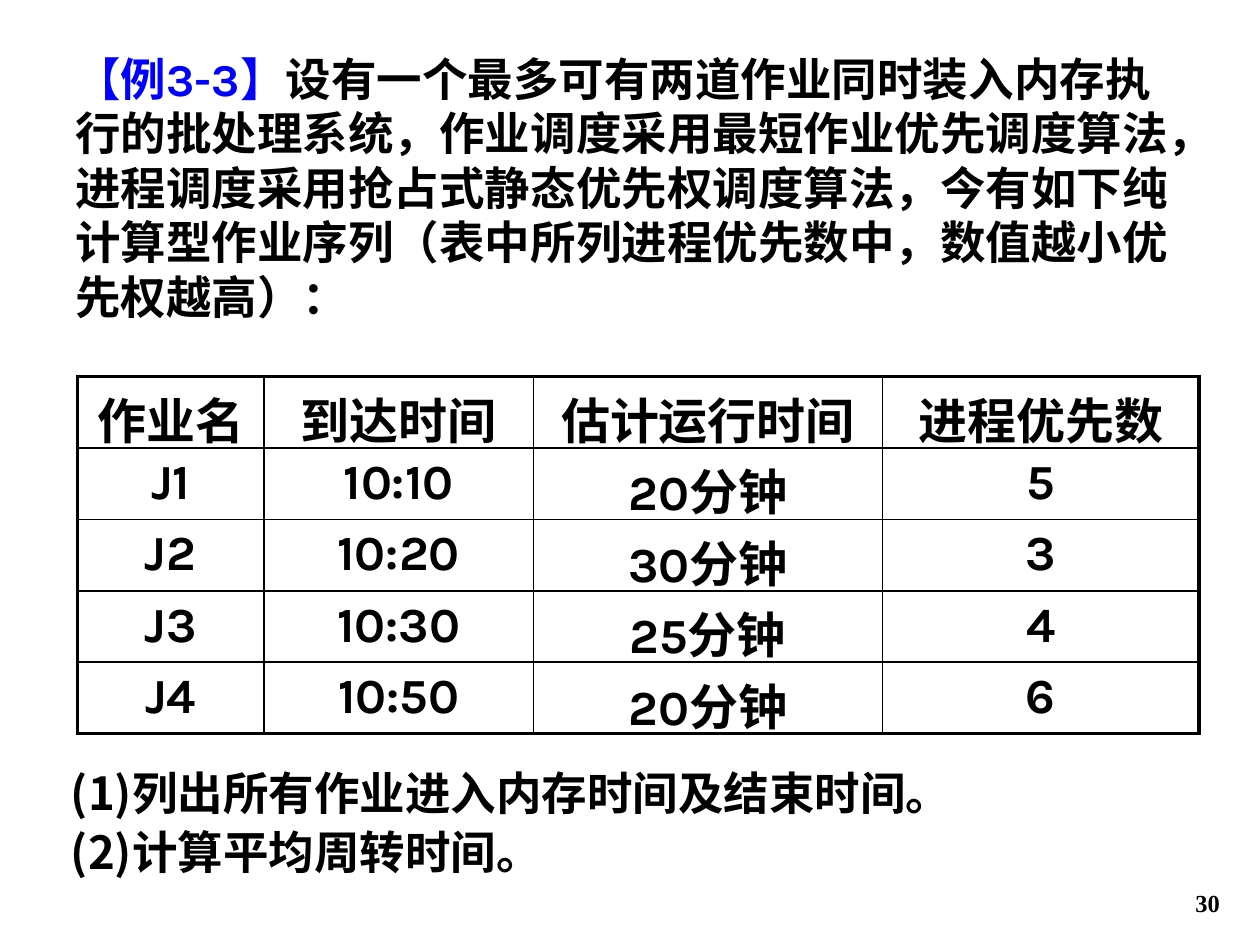
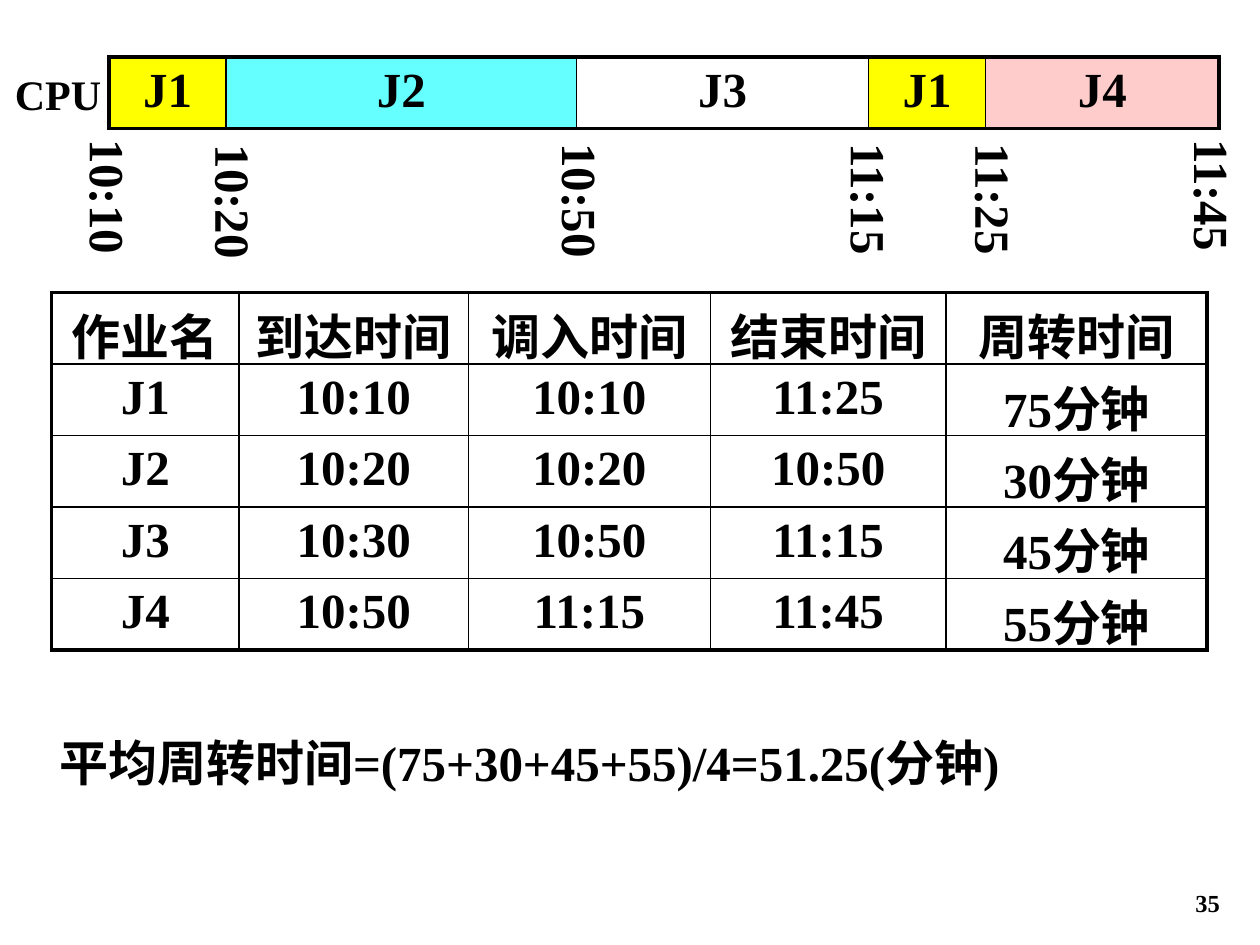
import lxml.etree
import pptx
import pptx.dml.color
import pptx.enum.text
import pptx.oxml.ns
import pptx.util

Cm = pptx.util.Cm
Pt = pptx.util.Pt
RGBColor = pptx.dml.color.RGBColor
Align = pptx.enum.text.PP_ALIGN
qn = pptx.oxml.ns.qn

BLACK = RGBColor(0, 0, 0)
BLUE = RGBColor(0, 0, 255)
YELLOW = RGBColor(255, 255, 0)
CYAN = RGBColor(0x66, 255, 255)
WHITE = RGBColor(255, 255, 255)
PINK = RGBColor(255, 0xCC, 0xCC)

SERIF = "Times New Roman"
KARLA = "Karla"
CHINESE = "Noto Sans CJK SC"
BOX_LINE_FACTOR = 1.2
CELL_LINE_FACTOR = 1.44
THICK, THIN = 2.25, 1
ROW_HEIGHT = 1.44
NORMAL_INSETS = (0.25, 0.13)
TIGHT_INSETS = (0.05, 0.03)


def format_run(run, size, font, color=BLACK):
    run.font.size = Pt(size)
    run.font.bold = True
    run.font.name = font
    run.font.color.rgb = color
    east_asian = lxml.etree.Element(qn("a:ea"), typeface=CHINESE)
    run.font._element.find(qn("a:latin")).addnext(east_asian)


def format_paragraph(paragraph, size, font, align=Align.LEFT,
                     line_factor=BOX_LINE_FACTOR):
    paragraph.alignment = align
    if not paragraph.text.isascii():
        paragraph.line_spacing = Pt(size * line_factor)
    for run in paragraph.runs:
        format_run(run, size, font)


def add_text(slide, position, text, size, font=SERIF, align=Align.LEFT,
             insets=NORMAL_INSETS, space_before=0, bottom=False):
    shape = slide.shapes.add_textbox(*(Cm(length) for length in position))
    text_frame = shape.text_frame
    text_frame.word_wrap = True
    text_frame.margin_left = text_frame.margin_right = Cm(insets[0])
    text_frame.margin_top = text_frame.margin_bottom = Cm(insets[1])
    if bottom:
        text_frame.vertical_anchor = pptx.enum.text.MSO_ANCHOR.BOTTOM
    text_frame.text = text
    for index, paragraph in enumerate(text_frame.paragraphs):
        if index:
            paragraph.space_before = Pt(space_before)
        format_paragraph(paragraph, size, font, align)
    return text_frame


def add_vertical_time(slide, position, text, insets=NORMAL_INSETS):
    text_frame = add_text(slide, position, text, 28, insets=insets)
    text_frame._txBody.bodyPr.set("vert", "eaVert")


def add_page_number(slide, number):
    add_text(slide, (19.56, 17.35, 5.28, 1.27), str(number), 14,
             align=Align.RIGHT, bottom=True)


def set_borders(cell, widths):
    properties = cell._tc.get_or_add_tcPr()
    for index, (side, width) in enumerate(zip("LRTB", widths)):
        line = lxml.etree.Element(qn(f"a:ln{side}"), w=str(Pt(width)))
        fill = lxml.etree.SubElement(line, qn("a:solidFill"))
        lxml.etree.SubElement(fill, qn("a:srgbClr"), val=str(BLACK))
        properties.insert(index, line)


def add_grid(slide, left, top, column_widths, rows, font=SERIF, fills=None):
    last_row, last_column = len(rows) - 1, len(column_widths) - 1
    table = slide.shapes.add_table(
        len(rows), len(column_widths), Cm(left), Cm(top),
        Cm(sum(column_widths)), Cm(ROW_HEIGHT * len(rows))).table
    table.first_row = table.horz_banding = False
    for column, width in zip(table.columns, column_widths):
        column.width = Cm(width)
    for row_index, values in enumerate(rows):
        table.rows[row_index].height = Cm(ROW_HEIGHT)
        for column_index, value in enumerate(values):
            cell = table.cell(row_index, column_index)
            cell.margin_top = Cm(NORMAL_INSETS[1])
            cell.margin_bottom = Cm(-NORMAL_INSETS[1])
            cell.text_frame.text = value
            format_paragraph(cell.text_frame.paragraphs[0], 28, font,
                             Align.CENTER, CELL_LINE_FACTOR)
            if fills:
                cell.fill.solid()
                cell.fill.fore_color.rgb = fills[column_index]
            else:
                cell.fill.background()
            outer = (column_index == 0, column_index == last_column,
                     row_index == 0, row_index == last_row)
            set_borders(cell, [THICK if edge else THIN for edge in outer])


def build_problem(slide):
    add_page_number(slide, 30)
    text_frame = add_text(slide, (1.27, 0.89, 22.75, 5.77), "【例", 26, CHINESE)
    paragraph = text_frame.paragraphs[0]
    paragraph.runs[0].font.color.rgb = BLUE
    statement = ("设有一个最多可有两道作业同时装入内存执行的批处理系统，"
                 "作业调度采用最短作业优先调度算法，进程调度采用抢占式静态优先权调度算法，"
                 "今有如下纯计算型作业序列（表中所列进程优先数中，数值越小优先权越高）：")
    for text, font, color in (("3-3", KARLA, BLUE), ("】", CHINESE, BLUE),
                              (statement, CHINESE, BLACK)):
        run = paragraph.add_run()
        run.text = text
        format_run(run, 26, font, color)
    add_text(slide, (1.18, 15.29, 20.75, 2.57),
             "(1)列出所有作业进入内存时间及结束时间。\n(2)计算平均周转时间。",
             26, CHINESE, space_before=2.6)
    add_grid(slide, 1.56, 7.59, (3.76, 5.43, 7.04, 6.38), (
        ("作业名", "到达时间", "估计运行时间", "进程优先数"),
        ("J1", "10:10", "20分钟", "5"),
        ("J2", "10:20", "30分钟", "3"),
        ("J3", "10:30", "25分钟", "4"),
        ("J4", "10:50", "20分钟", "6")), KARLA)


def build_solution(slide):
    add_page_number(slide, 35)
    minutes = (10, 30, 25, 10, 20)
    timeline_width = 22.38
    add_grid(slide, 2.2, 1.15,
             [timeline_width * part / sum(minutes) for part in minutes],
             (("J1", "J2", "J3", "J1", "J4"),),
             fills=(YELLOW, CYAN, WHITE, YELLOW, PINK))
    add_text(slide, (0.25, 1.35, 2.01, 1.07), "CPU", 24, insets=TIGHT_INSETS)
    add_vertical_time(slide, (1.55, 2.79, 1.3, 2.64), "10:10", TIGHT_INSETS)
    for left, top, time in ((3.88, 2.79, "10:20"), (10.87, 2.76, "10:50"),
                            (16.69, 2.76, "11:15"), (19.2, 2.76, "11:25")):
        add_vertical_time(slide, (left, top, 1.7, 3), time)
    add_vertical_time(slide, (23.81, 2.78, 1.3, 3), "11:45", TIGHT_INSETS)
    add_grid(slide, 1.04, 5.9, (3.78, 4.62, 4.88, 4.75, 5.26), (
        ("作业名", "到达时间", "调入时间", "结束时间", "周转时间"),
        ("J1", "10:10", "10:10", "11:25", "75分钟"),
        ("J2", "10:20", "10:20", "10:50", "30分钟"),
        ("J3", "10:30", "10:50", "11:15", "45分钟"),
        ("J4", "10:50", "11:15", "11:45", "55分钟")))
    add_text(slide, (0.95, 14.64, 23.24, 1.45),
             "平均周转时间=(75+30+45+55)/4=51.25(分钟)", 28)


def main():
    presentation = pptx.Presentation()
    presentation.slide_width = Cm(25.4)
    presentation.slide_height = Cm(19.05)
    for build in (build_problem, build_solution):
        build(presentation.slides.add_slide(presentation.slide_layouts[6]))
    presentation.save("out.pptx")


if __name__ == "__main__":
    main()
